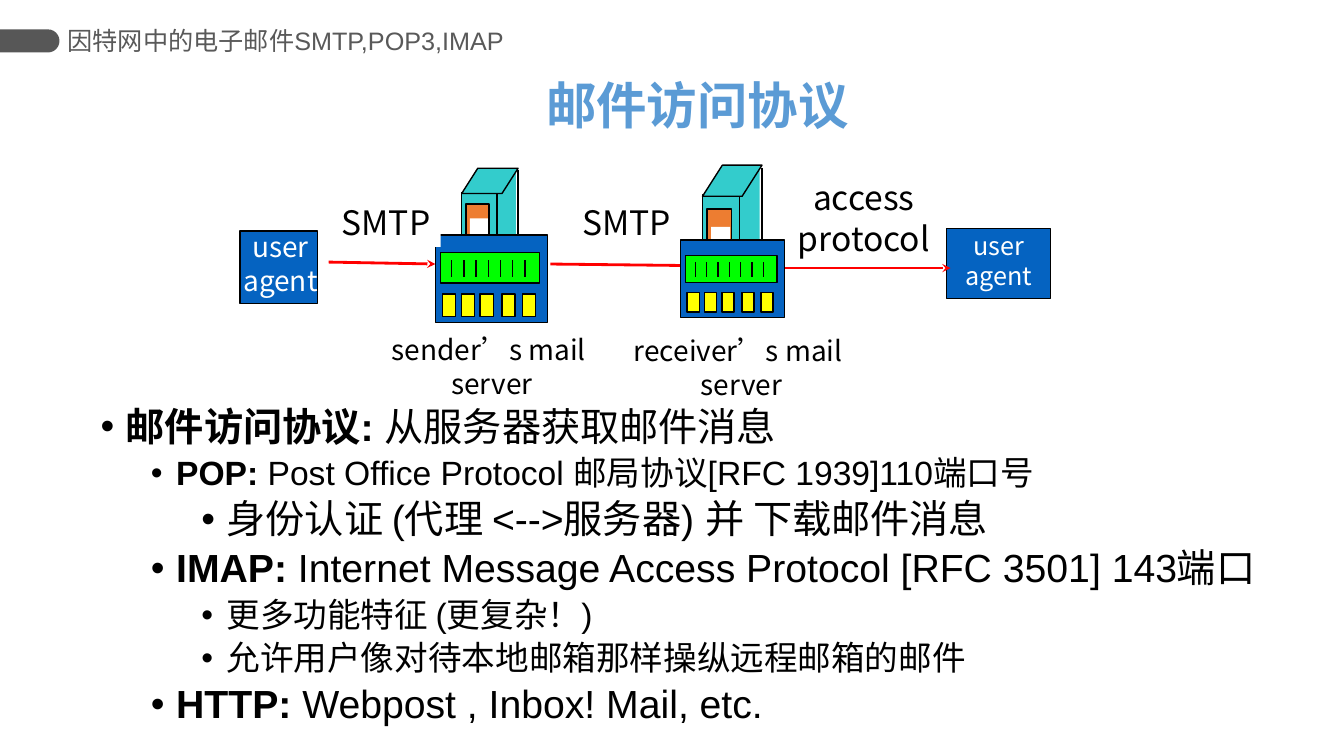
"""Build the slide on mail access protocols."""
from lxml import etree
from pptx import Presentation
from pptx.dml.color import RGBColor
from pptx.enum.shapes import MSO_CONNECTOR, MSO_SHAPE
from pptx.enum.text import MSO_ANCHOR, PP_ALIGN
from pptx.oxml.ns import qn
from pptx.util import Pt

RECTANGLE = MSO_SHAPE.RECTANGLE
PARALLELOGRAM = MSO_SHAPE.PARALLELOGRAM
ROUNDED_END = MSO_SHAPE.ROUND_2_SAME_RECTANGLE
STRAIGHT = MSO_CONNECTOR.STRAIGHT
MIDDLE, TOP = MSO_ANCHOR.MIDDLE, MSO_ANCHOR.TOP
CENTER, LEFT = PP_ALIGN.CENTER, PP_ALIGN.LEFT

LATIN, CJK = "Arial", "Noto Sans CJK SC"
COLORS = {
    "black": "000000", "white": "FFFFFF", "tab": "575757", "header": "595959",
    "title": "5B9BD5", "blue": "0563C1", "teal": "33CCCC", "orange": "ED7D31",
    "green": "00FF00", "yellow": "FFFF00", "red": "FF0000",
}
TICK_COUNT = 7
BUTTON_STARTS = (0.065, 0.234, 0.4, 0.594, 0.776)
BULLETS = [
    (0, 28, "邮件访问协议: ", "从服务器获取邮件消息"),
    (1, 24, "POP: ", "Post Office Protocol 邮局协议[RFC 1939]110端口号"),
    (2, 28, "", "身份认证 (代理 <-->服务器) 并 下载邮件消息"),
    (1, 28, "IMAP: ", "Internet Message Access Protocol [RFC 3501] 143端口"),
    (2, 24, "", "更多功能特征 (更复杂！)"),
    (2, 24, "", "允许用户像对待本地邮箱那样操纵远程邮箱的邮件"),
    (1, 28, "HTTP: ", "Webpost , Inbox! Mail, etc."),
]


def color(name):
    return RGBColor.from_string(COLORS[name])


def within(box, x, y, width, height):
    """Turn fractions of a box into a box in points."""
    left, top, full_width, full_height = box
    return (left + x * full_width, top + y * full_height,
            width * full_width, height * full_height)


def add_block(slide, box, fill, outlined=True, kind=RECTANGLE):
    shape = slide.shapes.add_shape(kind, *map(Pt, box))
    shape.shadow.inherit = False
    shape.fill.solid()
    shape.fill.fore_color.rgb = color(fill)
    if outlined:
        shape.line.color.rgb = color("black")
        shape.line.width = Pt(1)
    else:
        shape.line.fill.background()
    return shape


def add_line(slide, start, end, line_color="black", width=1, arrow=False):
    connector = slide.shapes.add_connector(STRAIGHT, *map(Pt, (*start, *end)))
    connector.line.color.rgb = color(line_color)
    connector.line.width = Pt(width)
    if arrow:
        line = connector.line._get_or_add_ln()
        etree.SubElement(line, qn("a:tailEnd"), type="stealth")
    properties = connector._element.spPr
    etree.SubElement(properties, qn("a:effectLst"))


def format_run(run, size, text_color, font=LATIN, bold=False):
    run.font.size = Pt(size)
    run.font.name = font
    run.font.bold = bold
    run.font.color.rgb = color(text_color)
    etree.SubElement(run._r.get_or_add_rPr(), qn("a:ea"), typeface=CJK)


def add_text(slide, box, text, size, text_color="black", font=CJK, bold=False,
             align=CENTER, anchor=TOP, inset=7.2, spacing=1.0):
    text_frame = slide.shapes.add_textbox(*map(Pt, box)).text_frame
    text_frame.word_wrap = False
    text_frame.vertical_anchor = anchor
    text_frame.margin_left = text_frame.margin_right = Pt(inset)
    text_frame.text = text
    for paragraph in text_frame.paragraphs:
        paragraph.alignment = align
        paragraph.line_spacing = spacing
        for run in paragraph.runs:
            format_run(run, size, text_color, font, bold)


def add_bullets(slide, box):
    text_frame = slide.shapes.add_textbox(*map(Pt, box)).text_frame
    text_frame.word_wrap = True
    for index, (level, size, term, detail) in enumerate(BULLETS):
        paragraph = text_frame.paragraphs[0] if index == 0 else text_frame.add_paragraph()
        paragraph.level = level
        paragraph.line_spacing = 0.9
        if index:
            paragraph.space_before = Pt(5)
        properties = paragraph._p.get_or_add_pPr()
        properties.set("marL", str(Pt(18 + 36 * level)))
        properties.set("indent", str(Pt(-18)))
        etree.SubElement(properties, qn("a:buFont"), typeface=LATIN)
        etree.SubElement(properties, qn("a:buChar"), char="•")
        for text, bold in ((term, True), (detail, False)):
            if text:
                run = paragraph.add_run()
                run.text = text
                format_run(run, size, "black", bold=bold)


def add_tower(slide, box):
    """Draw the upright computer case behind a mail server."""
    left, top, width, height = box
    add_block(slide, within(box, 0.5, 0.01, 0.46, 0.78), "teal", False)
    add_block(slide, within(box, 0, 0.225, 0.625, 0.775), "teal")
    roof = add_block(slide, within(box, 0, 0, 1, 0.234), "teal", kind=PARALLELOGRAM)
    roof.adjustments[0] = 0.638
    add_line(slide, (left + width, top + 0.02 * height),
             (left + width, top + 0.776 * height))
    add_block(slide, within(box, 0.075, 0.33, 0.41, 0.44), "orange")
    add_block(slide, within(box, 0.145, 0.465, 0.32, 0.16), "white", False)


def add_server_front(slide, box):
    """Draw the mail server front with its queue and mailboxes."""
    left, top, width, height = box
    add_block(slide, box, "blue")
    add_block(slide, within(box, 0.047, 0.2, 0.885, 0.348), "green")
    for index in range(TICK_COUNT):
        x = left + (0.145 + 0.109 * index) * width
        add_line(slide, (x, top + 0.287 * height), (x, top + 0.482 * height))
    for start in BUTTON_STARTS:
        add_block(slide, within(box, start, 0.675, 0.117, 0.255), "yellow")


def main():
    presentation = Presentation()
    presentation.slide_width, presentation.slide_height = Pt(960), Pt(540)
    slide = presentation.slides.add_slide(presentation.slide_layouts[6])

    tab = add_block(slide, (13, 8, 16.5, 42.5), "tab", False, ROUNDED_END)
    tab.adjustments[0] = 0.5
    tab.rotation = 90
    add_bullets(slide, (64.8, 287.3, 880.6, 188.6))

    add_line(slide, (234.7, 187.2), (311, 188.6), "red", 2, True)
    add_block(slide, (676, 163.4, 74.2, 49.7), "blue")
    add_text(slide, (681, 160.6, 64.8, 51), "user\nagent", 18, "white")

    add_tower(slide, (329.8, 120.2, 40.3, 77))
    add_text(slide, (270, 234, 162.7, 55.4), "sender’s mail \nserver", 20)
    add_server_front(slide, (311, 167.8, 80, 62.6))

    add_block(slide, (171.4, 164.9, 55.4, 51.8), "blue")
    add_text(slide, (165, 160.6, 70.6, 56.2), "user\nagent", 20, "white")
    add_block(slide, (236.9, 146.9, 77.8, 29.5), "white", False)
    add_text(slide, (235.4, 140.4, 80.6, 36), "SMTP", 24)

    add_tower(slide, (501.8, 118, 42.5, 95))
    add_line(slide, (393.1, 188.6), (519.1, 190), "red", 2, True)
    add_block(slide, (383, 131.8, 77.8, 29.5), "white", False)
    add_text(slide, (394.6, 140.4, 105.8, 36.7), "SMTP", 24)
    add_line(slide, (530, 191.5), (679, 191.5), "red", 2, True)
    add_text(slide, (542.9, 123.1, 148.3, 65.5), "access\nprotocol", 24)
    add_text(slide, (439.2, 234.7, 180.7, 55.4), "receiver’s mail \nserver", 20)
    add_server_front(slide, (486, 171.4, 74.2, 55.4))

    add_text(slide, (383, 51.1, 262, 52.6), "邮件访问协议", 36, "title", LATIN,
             True, LEFT, MIDDLE, spacing=0.9)
    add_text(slide, (48.2, 13.7, 339, 30.2), "因特网中的电子邮件SMTP,POP3,IMAP", 18,
             "header", LATIN, False, LEFT, MIDDLE, 0)
    presentation.save("out.pptx")


if __name__ == "__main__":
    main()
